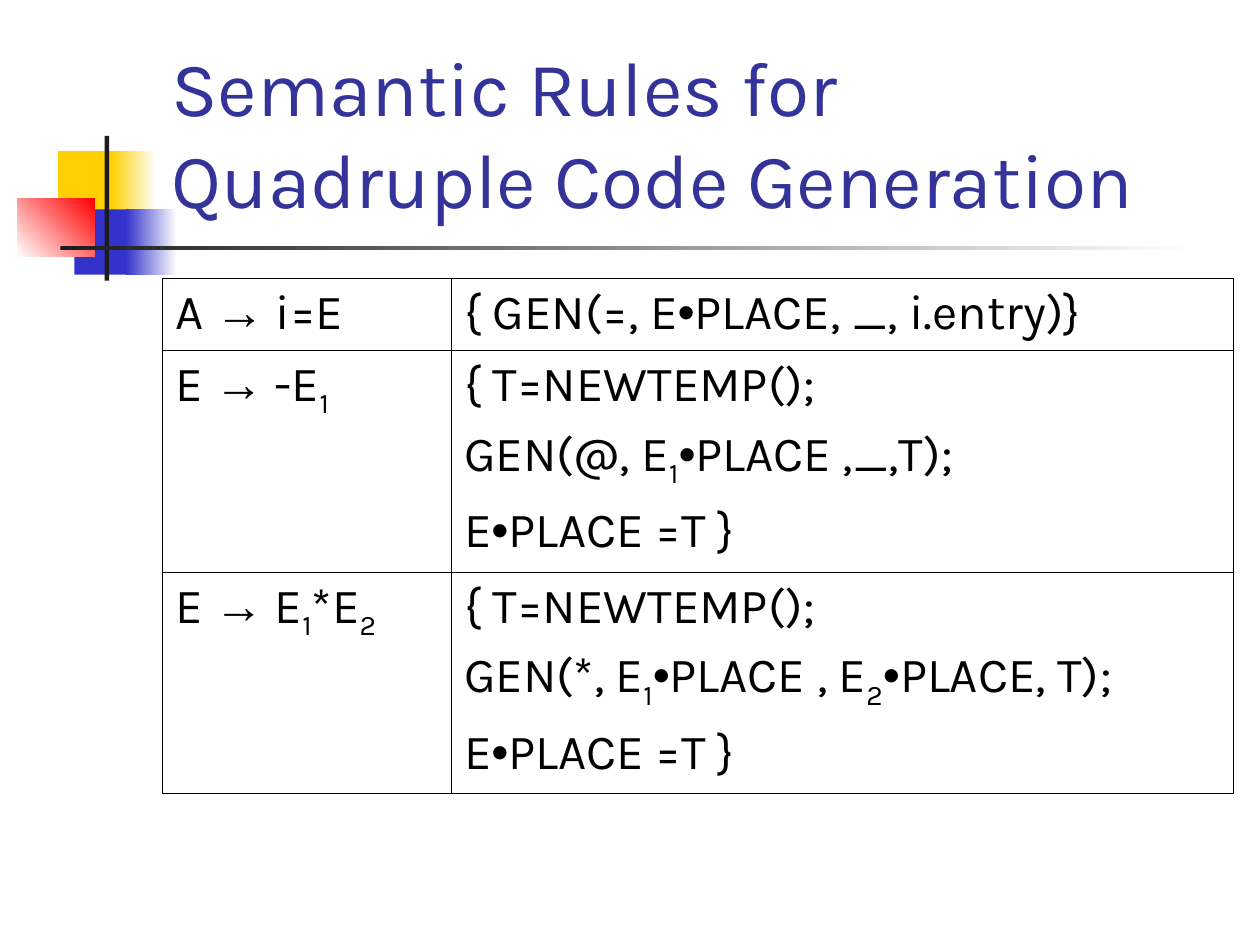
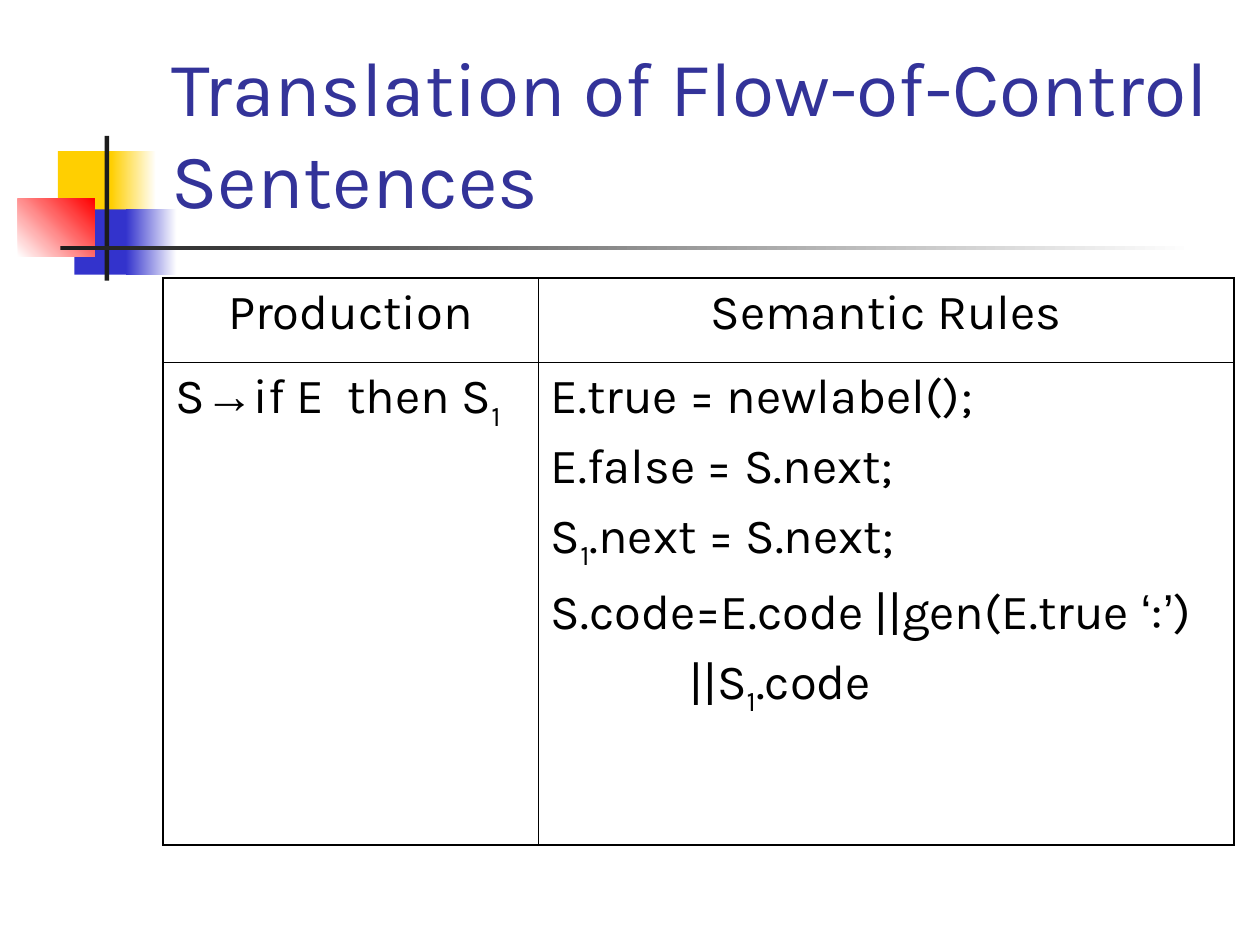
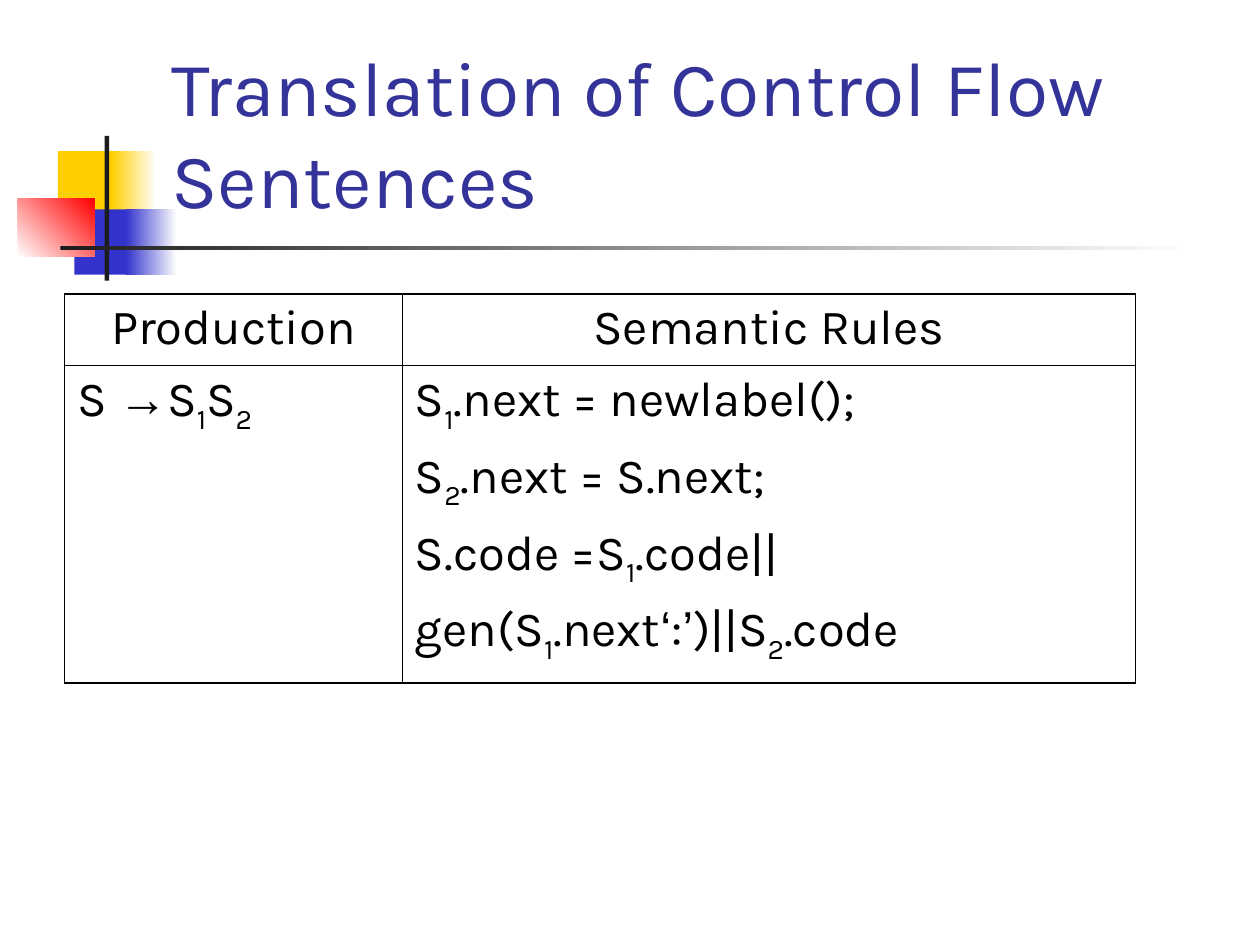
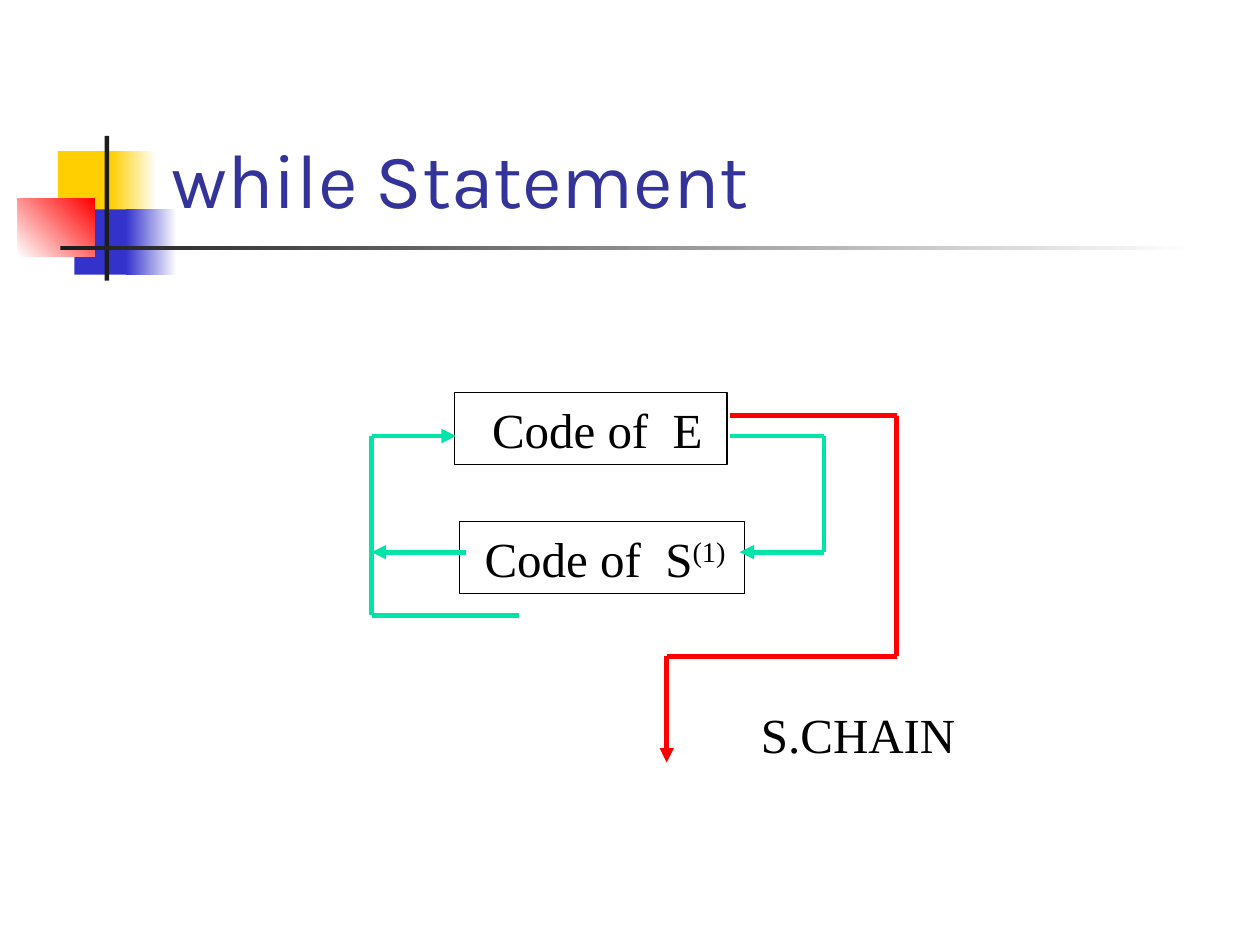
from dataclasses import dataclass
from itertools import groupby, pairwise
from typing import Optional

from lxml.etree import SubElement
from pptx import Presentation
from pptx.dml.color import RGBColor
from pptx.enum.shapes import MSO_CONNECTOR, MSO_SHAPE
from pptx.enum.text import MSO_ANCHOR, MSO_AUTO_SIZE, PP_ALIGN
from pptx.oxml.ns import qn
from pptx.util import Cm, Pt


@dataclass(frozen=True)
class Theme:
    title: str = "333399"
    text: str = "000000"
    white: str = "FFFFFF"
    yellow: str = "FFCF01"
    blue: str = "3333CC"
    red: str = "FF0000"
    bar: str = "1C1C1C"
    green: str = "00E4A8"
    title_size: float = 44
    text_size: float = 28
    space_before: float = 7
    thin: float = 0.45
    thick: float = 1.08
    box_line: float = 0.75
    flow_line: float = 2.75
    sans: str = "Karla"
    symbol: str = "Arial"
    serif: str = "Times New Roman"


@dataclass(frozen=True)
class Box:
    left: float
    top: float
    width: float
    height: float

    def emu(self) -> tuple:
        return Cm(self.left), Cm(self.top), Cm(self.width), Cm(self.height)


@dataclass(frozen=True)
class Band:
    box: Box
    start: str
    end: Optional[str] = None
    angle: float = 0


@dataclass(frozen=True)
class Line:
    text: str
    indent: float = 0
    centred: bool = False


@dataclass(frozen=True)
class Grid:
    title: str
    left: float
    top: float
    cols: list
    rows: list
    outer: float
    cells: list


@dataclass(frozen=True)
class Label:
    text: str
    box: Box
    inset: float = 0.25
    framed: bool = True


@dataclass(frozen=True)
class Flow:
    points: list
    color: str


T = Theme()
TITLE_BOX = Box(3.2, 0.58, 21.64, 4.06)
TITLE_ONLY = 5
SUBSCRIPTS = "₁₂"
SUPERSCRIPTS = "⁽¹⁾"
SYMBOLS = "→•‘’"
TO_PLAIN = str.maketrans(SUBSCRIPTS + SUPERSCRIPTS, "12(1)")
BASELINES = {"sub": "-25000", "sup": "30000"}

BANDS = [
    Band(Box(1.17, 3.05, 1.22, 1.32), T.yellow),
    Band(Box(2.24, 3.05, 0.91, 1.32), T.yellow, T.white),
    Band(Box(1.5, 4.22, 1.17, 1.32), T.blue),
    Band(Box(2.54, 4.22, 1.02, 1.32), T.blue, T.white),
    Band(Box(0.36, 4.01, 1.55, 1.17), T.white, T.red, 45),
    Band(Box(2.11, 2.74, 0.09, 2.92), T.bar),
    Band(Box(1.22, 4.95, 22.86, 0.09), T.bar, T.white),
]

HEADER = [[Line("Production", centred=True)], [Line("Semantic Rules", centred=True)]]
NEW_TEMP = Line("{ T=NEWTEMP();")
SET_PLACE = Line("E•PLACE =T }")

GRIDS = [
    Grid(
        "Semantic Rules for Quadruple Code Generation",
        3.28, 5.61, [5.82, 15.77], [1.45, 4.47, 4.47], T.thin,
        [
            [[Line("A → i=E")], [Line("{ GEN(=, E•PLACE, _, i.entry)}")]],
            [
                [Line("E → -E₁")],
                [NEW_TEMP, Line("GEN(@, E₁•PLACE ,_,T);"), SET_PLACE],
            ],
            [
                [Line("E → E₁*E₂")],
                [NEW_TEMP, Line("GEN(*, E₁•PLACE , E₂•PLACE, T);"), SET_PLACE],
            ],
        ],
    ),
    Grid(
        "Translation of Flow-of-Control Sentences",
        3.28, 5.61, [7.57, 14.02], [1.7, 9.73], T.thick,
        [
            HEADER,
            [
                [Line("S→if E  then S₁")],
                [
                    Line("E.true = newlabel();"),
                    Line("E.false = S.next;"),
                    Line("S₁.next = S.next;"),
                    Line("S.code=E.code ||gen(E.true ‘:’)"),
                    Line("||S₁.code", indent=2.8),
                ],
            ],
        ],
    ),
    Grid(
        "Translation of Control Flow Sentences",
        1.3, 5.92, [6.81, 14.78], [1.45, 6.4], T.thick,
        [
            HEADER,
            [
                [Line("S →S₁S₂")],
                [
                    Line("S₁.next = newlabel();"),
                    Line("S₂.next = S.next;"),
                    Line("S.code =S₁.code||"),
                    Line("gen(S₁.next‘:’)||S₂.code"),
                ],
            ],
        ],
    ),
]

LABELS = [
    Label("Code of  E", Box(9.17, 7.92, 5.49, 1.45), 0.75),
    Label("Code of  S⁽¹⁾", Box(9.27, 10.52, 5.74, 1.45), 0.5),
    Label("S.CHAIN", Box(15.09, 14.07, 4.42, 1.45), framed=False),
]

FLOWS = [
    Flow([(14.71, 8.38), (18.08, 8.38), (18.08, 13.23), (13.44, 13.23), (13.44, 15.37)], T.red),
    Flow([(14.71, 8.79), (16.61, 8.79), (16.61, 11.13), (14.91, 11.13)], T.green),
    Flow([(9.4, 11.13), (7.49, 11.13)], T.green),
    Flow([(10.46, 12.4), (7.49, 12.4), (7.49, 8.79), (9.19, 8.79)], T.green),
]


def rgb(color: str) -> RGBColor:
    return RGBColor.from_string(color)


def char_kind(char: str) -> str:
    kinds = {"sub": SUBSCRIPTS, "sup": SUPERSCRIPTS, "symbol": SYMBOLS}
    return next((kind for kind, chars in kinds.items() if char in chars), "plain")


def add_runs(p, text: str, font: str, size: float, color: str) -> None:
    for kind, chars in groupby(text, char_kind):
        r = p.add_run()
        r.text = "".join(chars).translate(TO_PLAIN)
        r.font.name = T.symbol if kind == "symbol" else font
        r.font.size = Pt(size)
        r.font.color.rgb = rgb(color)
        if kind in BASELINES:
            r._r.get_or_add_rPr().set("baseline", BASELINES[kind])


def add_band(s, band: Band):
    sp = s.shapes.add_shape(MSO_SHAPE.RECTANGLE, *band.box.emu())
    sp.shadow.inherit = False
    sp.line.fill.background()
    if band.end is None:
        sp.fill.solid()
        sp.fill.fore_color.rgb = rgb(band.start)
    else:
        sp.fill.gradient()
        sp.fill.gradient_angle = band.angle
        for stop, color in zip(sp.fill.gradient_stops, (band.start, band.end)):
            stop.color.rgb = rgb(color)
    return sp


def move_bands_to_layout(s, layout) -> None:
    bands = [add_band(s, band) for band in BANDS]
    for number, sp in enumerate(bands, start=100):
        sp.element.nvSpPr.cNvPr.id = number
        layout.shapes.element.append(sp.element)


def add_titled_slide(prs, title: str):
    s = prs.slides.add_slide(prs.slide_layouts[TITLE_ONLY])
    sp = s.shapes.title
    sp.left, sp.top, sp.width, sp.height = TITLE_BOX.emu()
    tf = sp.text_frame
    tf.word_wrap = True
    tf.auto_size = MSO_AUTO_SIZE.NONE
    tf.vertical_anchor = MSO_ANCHOR.BOTTOM
    p = tf.paragraphs[0]
    p.alignment = PP_ALIGN.LEFT
    add_runs(p, title, T.sans, T.title_size, T.title)
    return s


def set_borders(cell, widths: dict) -> None:
    tc_pr = cell._tc.get_or_add_tcPr()
    for side, width in widths.items():
        ln = SubElement(tc_pr, qn(f"a:ln{side}"), w=str(Pt(width)))
        fill = SubElement(ln, qn("a:solidFill"))
        SubElement(fill, qn("a:srgbClr"), val=T.text)


def fill_cell(cell, lines: list) -> None:
    tf = cell.text_frame
    for i, line in enumerate(lines):
        p = tf.add_paragraph() if i else tf.paragraphs[0]
        p.alignment = PP_ALIGN.CENTER if line.centred else PP_ALIGN.LEFT
        if i:
            p.space_before = Pt(T.space_before)
        if line.indent:
            p._p.get_or_add_pPr().set("marL", str(Cm(line.indent)))
        add_runs(p, line.text, T.sans, T.text_size, T.text)


def add_grid(s, grid: Grid) -> None:
    box = Box(grid.left, grid.top, sum(grid.cols), sum(grid.rows))
    last_row, last_col = len(grid.rows) - 1, len(grid.cols) - 1
    table = s.shapes.add_table(last_row + 1, last_col + 1, *box.emu()).table
    table.first_row = table.horz_banding = False
    for column, width in zip(table.columns, grid.cols):
        column.width = Cm(width)
    for i, (row, height) in enumerate(zip(table.rows, grid.rows)):
        row.height = Cm(height)
        for j, lines in enumerate(grid.cells[i]):
            cell = table.cell(i, j)
            edges = {"L": j == 0, "R": j == last_col, "T": i == 0, "B": i == last_row}
            set_borders(cell, {side: grid.outer if edge else T.thin for side, edge in edges.items()})
            cell.fill.background()
            fill_cell(cell, lines)


def add_label(s, label: Label) -> None:
    if label.framed:
        sp = s.shapes.add_shape(MSO_SHAPE.RECTANGLE, *label.box.emu())
        sp.shadow.inherit = False
        sp.fill.background()
        sp.line.color.rgb = rgb(T.text)
        sp.line.width = Pt(T.box_line)
    else:
        sp = s.shapes.add_textbox(*label.box.emu())
    tf = sp.text_frame
    tf.word_wrap = True
    tf.vertical_anchor = MSO_ANCHOR.TOP
    tf.margin_left, tf.margin_right = Cm(label.inset), 0
    p = tf.paragraphs[0]
    p.alignment = PP_ALIGN.LEFT
    add_runs(p, label.text, T.serif, T.text_size, T.text)


def add_flow(s, flow: Flow) -> None:
    for start, end in pairwise(flow.points):
        ends = [Cm(value) for value in start + end]
        line = s.shapes.add_connector(MSO_CONNECTOR.STRAIGHT, *ends)
        line.line.color.rgb = rgb(flow.color)
        line.line.width = Pt(T.flow_line)
        sp_pr = line.element.spPr
        if end == flow.points[-1]:
            SubElement(sp_pr.find(qn("a:ln")), qn("a:tailEnd"), type="triangle")
        SubElement(sp_pr, qn("a:effectLst"))


def main() -> None:
    prs = Presentation()
    prs.slide_width, prs.slide_height = Cm(25.4), Cm(19.05)
    for grid in GRIDS:
        add_grid(add_titled_slide(prs, grid.title), grid)
    s = add_titled_slide(prs, "while Statement")
    move_bands_to_layout(s, prs.slide_layouts[TITLE_ONLY])
    for label in LABELS:
        add_label(s, label)
    for flow in FLOWS:
        add_flow(s, flow)
    prs.save("out.pptx")


if __name__ == "__main__":
    main()
